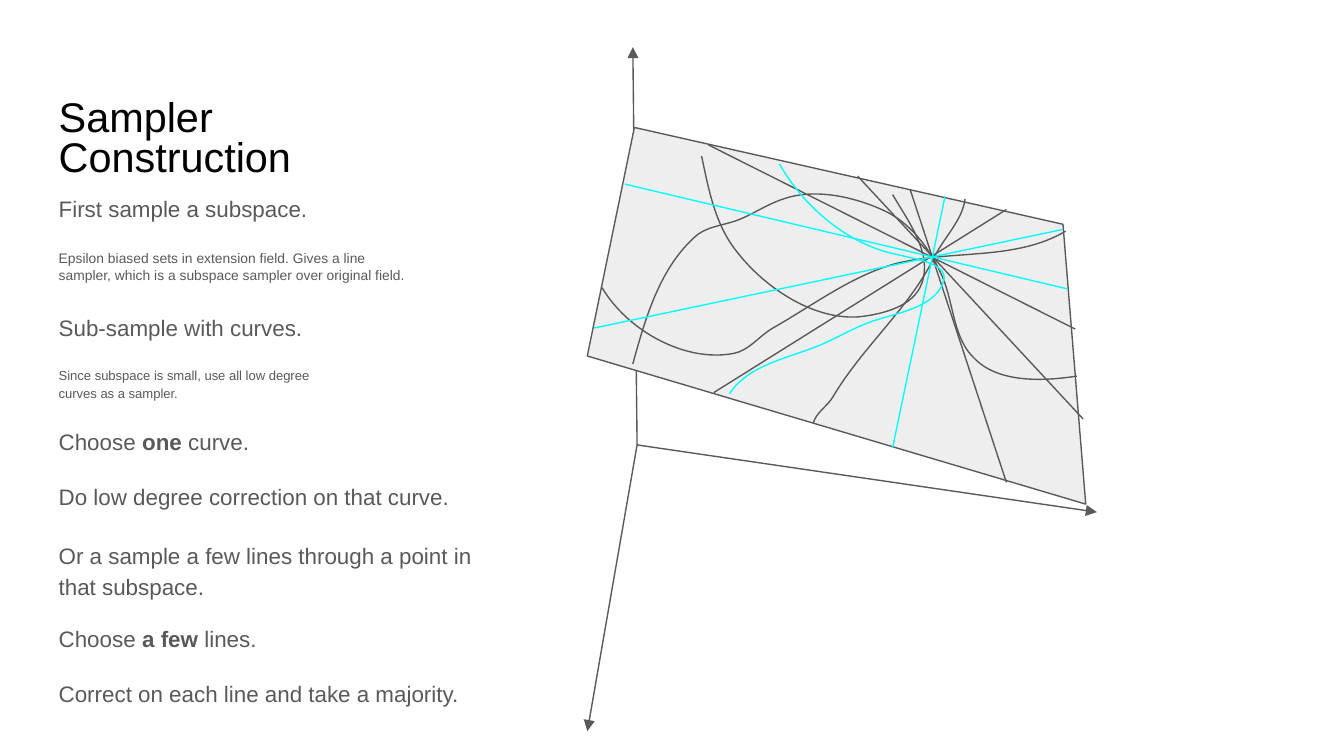
from lxml.etree import SubElement
from pptx import Presentation
from pptx.dml.color import RGBColor
from pptx.enum.shapes import MSO_CONNECTOR
from pptx.enum.text import MSO_ANCHOR as Anchor
from pptx.oxml.ns import qn
from pptx.util import Cm, Pt

COLORS = {"title": "000000", "ink": "595959", "plane": "EEEEEE", "chosen": "00FFFF"}
FONT = "Arial"
LEFT = 0.86
INSET = 0.25
STROKE = Pt(0.75)

# (text runs, top, width, height, size, line spacing); odd runs are bold
TITLE = (["Sampler Construction"], 1.55, 7.8, 2.11, 22.2, 0.8)
NOTES = [
    (["First sample a subspace."], 3.43, 5.59, 1.02, 12, 1),
    (["Epsilon biased sets in extension field. Gives a line sampler, "
      "which is a subspace sampler over original field."], 4.47, 7.11, 1.14, 7.4, 1),
    (["Sub-sample with curves."], 5.61, 8.33, 1.09, 12, 1.15),
    (["Since subspace is small, use all low degree curves as a sampler."],
     6.65, 5.94, 1.19, 7, 1.15),
    (["Choose ", "one ", "curve."], 7.85, 5.33, 1.02, 12, 1),
    (["Do low degree correction on that curve."], 8.89, 8.59, 1.02, 12, 1),
    (["Or a sample a few lines through a point in that subspace."],
     9.93, 8.33, 1.68, 12, 1.15),
    (["Choose ", "a few ", "lines."], 11.56, 7.11, 1.02, 12, 1),
    (["Correct on each line and take a majority."], 12.6, 8.33, 1.02, 12, 1),
]

ORIGIN = (12.04, 8.41)
AXIS_TIPS = [(20.73, 9.68), (11.96, 0.89), (11.1, 13.82)]
SUBSPACE = [(11.99, 2.41), (11.1, 6.73), (20.52, 9.53), (20.09, 4.24)]

# Start point, then two control points and an end point for each segment
CHOSEN_CURVE = [
    (13.79, 7.44), (14.17, 6.86), (14.99, 6.76), (15.6, 6.48),
    (15.95, 6.32), (16.28, 6.12), (16.66, 6.02),
    (17.09, 5.89), (17.68, 5.77), (17.83, 5.33),
    (17.98, 4.9), (16.99, 4.88), (16.56, 4.7),
    (15.8, 4.42), (15.14, 3.81), (14.73, 3.1),
]
OTHER_CURVES = [
    [(11.38, 5.44), (11.86, 6.25), (12.95, 6.86), (13.87, 6.68),
     (14.15, 6.63), (14.35, 6.35), (14.61, 6.2),
     (15.37, 5.77), (16.1, 5.21), (16.94, 4.98),
     (18.01, 4.72), (19.2, 4.93), (20.14, 4.37)],
    [(20.35, 7.11), (19.71, 7.21), (18.87, 7.24), (18.42, 6.78),
     (18.01, 6.4), (18.03, 5.74), (17.81, 5.23),
     (17.58, 4.7), (17.2, 4.19), (16.66, 3.96),
     (16.1, 3.71), (15.39, 3.56), (14.81, 3.76),
     (14.5, 3.86), (14.22, 4.06), (13.92, 4.17),
     (13.64, 4.27), (13.31, 4.29), (13.11, 4.5),
     (12.45, 5.11), (12.19, 6.05), (11.96, 6.88)],
    [(18.24, 3.76), (18.19, 4.17), (17.83, 4.5), (17.65, 4.88),
     (17.17, 5.84), (16.31, 6.55), (15.75, 7.49),
     (15.65, 7.67), (15.42, 7.8), (15.37, 8)],
    [(16.87, 3.68), (17.17, 4.19), (17.63, 4.8), (17.42, 5.36),
     (17.27, 5.79), (16.69, 5.94), (16.23, 5.99),
     (15.37, 6.05), (14.45, 5.44), (13.92, 4.75),
     (13.51, 4.24), (13.39, 3.56), (13.26, 2.95)],
]
CHOSEN_LINES = [
    ((11.81, 3.48), (20.17, 5.46)),
    ((11.23, 6.2), (20.07, 4.34)),
    ((17.86, 3.71), (16.87, 8.46)),
]
OTHER_LINES = [
    ((19.02, 9.12), (17.2, 3.58)),
    ((13.49, 7.42), (19.02, 3.96)),
    ((20.47, 7.92), (16.21, 3.33)),
    ((20.32, 6.22), (13.39, 2.74)),
]


def rgb(name):
    return RGBColor.from_string(COLORS[name])


def add_text(shapes, block, color="ink", anchor=Anchor.TOP):
    runs, top, width, height, size, spacing = block
    frame = shapes.add_textbox(Cm(LEFT), Cm(top), Cm(width), Cm(height)).text_frame
    frame.word_wrap = True
    frame.vertical_anchor = anchor
    frame.margin_left = frame.margin_right = Cm(INSET)
    frame.margin_top = frame.margin_bottom = Cm(INSET)
    paragraph = frame.paragraphs[0]
    paragraph.line_spacing = spacing
    paragraph.font.name = FONT
    paragraph.font.size = Pt(size)
    paragraph.font.color.rgb = rgb(color)
    for i, words in enumerate(runs):
        run = paragraph.add_run()
        run.text = words
        if i % 2:
            run.font.bold = True


def add_line(shapes, start, end, color="ink", arrow=False):
    line = shapes.add_connector(MSO_CONNECTOR.STRAIGHT, *map(Cm, start + end))
    line.line.color.rgb = rgb(color)
    line.line.width = STROKE
    if arrow:
        SubElement(line.line._get_or_add_ln(), qn("a:tailEnd"), type="triangle")
    SubElement(line._element.spPr, qn("a:effectLst"))


def add_outline(shapes, points, color="ink", close=False):
    start, *rest = [(Cm(x), Cm(y)) for x, y in points]
    builder = shapes.build_freeform(*start)
    builder.add_line_segments(rest, close=close)
    outline = builder.convert_to_shape()
    outline.shadow.inherit = False
    outline.line.color.rgb = rgb(color)
    outline.line.width = STROKE
    return outline


def add_curve(shapes, points, color="ink"):
    """Draw an outline and turn each three straight steps into one Bézier segment."""
    curve = add_outline(shapes, points, color)
    curve.fill.background()
    steps = curve._element.xpath(".//a:lnTo")
    for i in range(0, len(steps), 3):
        bezier = SubElement(steps[i].getparent(), qn("a:cubicBezTo"))
        for step in steps[i:i + 3]:
            bezier.append(step[0])
            step.getparent().remove(step)


def main():
    prs = Presentation()
    prs.slide_width, prs.slide_height = Cm(25.4), Cm(14.29)
    shapes = prs.slides.add_slide(prs.slide_layouts[6]).shapes

    add_text(shapes, TITLE, "title", Anchor.BOTTOM)
    for note in NOTES:
        add_text(shapes, note)

    for tip in AXIS_TIPS:
        add_line(shapes, ORIGIN, tip, arrow=True)
    plane = add_outline(shapes, SUBSPACE, close=True)
    plane.fill.solid()
    plane.fill.fore_color.rgb = rgb("plane")

    for curve in OTHER_CURVES:
        add_curve(shapes, curve)
    for start, end in OTHER_LINES:
        add_line(shapes, start, end)
    add_curve(shapes, CHOSEN_CURVE, "chosen")
    for start, end in CHOSEN_LINES:
        add_line(shapes, start, end, "chosen")

    prs.save("out.pptx")


if __name__ == "__main__":
    main()
